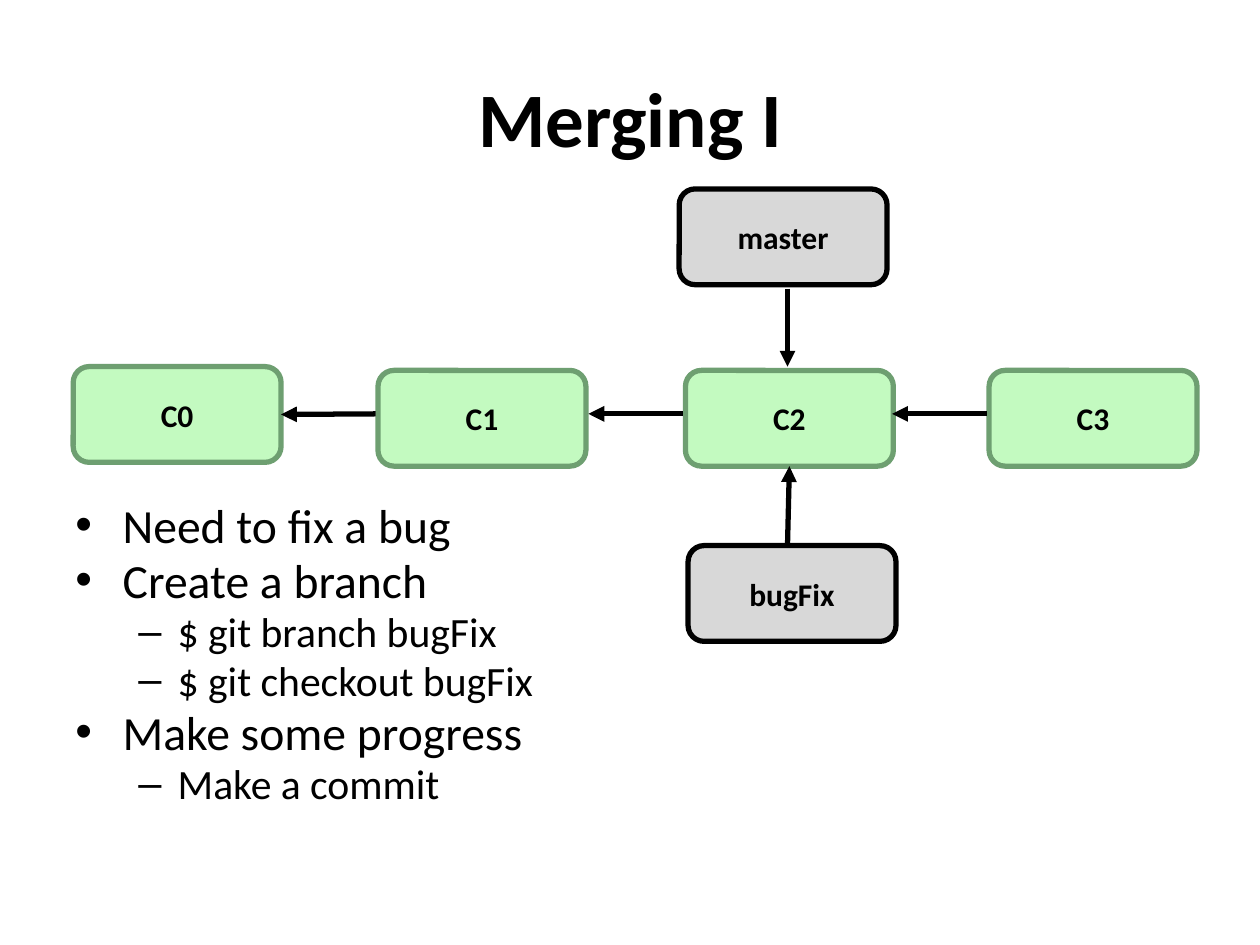
from pptx import Presentation
from pptx.dml.color import RGBColor
from pptx.enum.shapes import MSO_CONNECTOR as CONN, MSO_SHAPE as SHAPE
from pptx.enum.text import MSO_ANCHOR as ANCHOR, PP_ALIGN as ALIGN
from pptx.oxml.ns import qn
from pptx.util import Pt
from lxml.etree import SubElement

BLACK = RGBColor(0x00, 0x00, 0x00)
GREEN = RGBColor(0xC3, 0xFA, 0xC0)
DARK_GREEN = RGBColor(0x6E, 0x9F, 0x71)
GRAY = RGBColor(0xD8, 0xD8, 0xD8)

FONT = "Calibri"
NODE_W, NODE_H = 118.8, 54.7
BOTTOM, RIGHT = 2, 3

COMMIT = (GREEN, DARK_GREEN)
BRANCH = (GRAY, BLACK)
NODES = {
    "C0": (0, 101.5, COMMIT),
    "C1": (174.2, 103.7, COMMIT),
    "C2": (349.9, 103.7, COMMIT),
    "C3": (523.4, 103.7, COMMIT),
    "master": (346.3, 0, BRANCH),
    "bugFix": (351.4, 203.8, BRANCH),
}
ARROWS = [
    ((172.8, 128.5), (118.8, 128.5), ("C0", RIGHT)),
    ((348.5, 128.5), (294.5, 128.5), None),
    ((522, 128.5), (468, 128.5), None),
    ((408.2, 56.9), (408.2, 101.5), None),
    ((408.2, 203.8), (409.3, 158.4), ("C2", BOTTOM)),
]

LEVELS = [
    {"size": 27.2, "before": 5.4, "left": 27, "hang": 27, "mark": "•"},
    {"size": 23.8, "before": 4.8, "left": 58.5, "hang": 22.5, "mark": "–"},
]
BULLETS = [
    (0, "Need to fix a bug"),
    (0, "Create a branch"),
    (1, "$ git branch bugFix"),
    (1, "$ git checkout bugFix"),
    (0, "Make some progress"),
    (1, "Make a commit"),
]


def set_attrs(obj, values):
    for name, value in values.items():
        setattr(obj, name, value)


def write(p, text, size, bold=False):
    r = p.add_run()
    r.text = text
    set_attrs(r.font, {"name": FONT, "size": Pt(size), "bold": bold})
    r.font.color.rgb = BLACK


def add_title(s, box, text):
    sp = s.shapes.title
    set_attrs(sp, dict(zip(("left", "top", "width", "height"), map(Pt, box))))
    tf = sp.text_frame
    tf.vertical_anchor = ANCHOR.MIDDLE
    p = tf.paragraphs[0]
    p.alignment = ALIGN.CENTER
    write(p, text, 44, True)


def add_node(s, x, y, text, style):
    fill, line = style
    sp = s.shapes.add_shape(SHAPE.ROUNDED_RECTANGLE,
                            Pt(x), Pt(y), Pt(NODE_W), Pt(NODE_H))
    sp.shadow.inherit = False
    sp.fill.solid()
    sp.fill.fore_color.rgb = fill
    sp.line.color.rgb = line
    sp.line.width = Pt(3)
    tf = sp.text_frame
    tf.vertical_anchor = ANCHOR.MIDDLE
    p = tf.paragraphs[0]
    p.alignment = ALIGN.CENTER
    write(p, text, 18, True)
    return sp


def add_arrow(s, start, end):
    cx = s.shapes.add_connector(CONN.STRAIGHT, *map(Pt, start + end))
    cx.line.color.rgb = BLACK
    cx.line.width = Pt(3)
    SubElement(cx.line._get_or_add_ln(), qn("a:tailEnd"), type="triangle")
    SubElement(cx._element.spPr, qn("a:effectLst"))
    return cx


def add_graph(s, box):
    left, top = box[:2]
    nodes = {name: add_node(s, left + x, top + y, name, style)
             for name, (x, y, style) in NODES.items()}
    for (x1, y1), (x2, y2), joint in ARROWS:
        cx = add_arrow(s, (left + x1, top + y1), (left + x2, top + y2))
        if joint:
            name, side = joint
            cx.end_connect(nodes[name], side)


def add_bullets(s, box):
    tf = s.shapes.add_textbox(*map(Pt, box)).text_frame
    tf.word_wrap = True
    for i, (level, text) in enumerate(BULLETS):
        fmt = LEVELS[level]
        p = tf.add_paragraph() if i else tf.paragraphs[0]
        set_attrs(p, {"level": level, "line_spacing": 0.8,
                      "space_before": Pt(fmt["before"] if i else 0)})
        pPr = p._p.get_or_add_pPr()
        pPr.set("marL", str(Pt(fmt["left"])))
        pPr.set("indent", str(-Pt(fmt["hang"])))
        SubElement(pPr, qn("a:buFont"), typeface="Arial")
        SubElement(pPr, qn("a:buChar"), char=fmt["mark"])
        write(p, text, fmt["size"])


def main():
    prs = Presentation()
    set_attrs(prs, {"slide_width": Pt(720), "slide_height": Pt(540)})
    s = prs.slides.add_slide(prs.slide_layouts[5])
    add_title(s, (36, 21.6, 648, 90), "Merging I")
    add_bullets(s, (36, 286, 648, 196))
    add_graph(s, (41.8, 108, 642.2, 258.5))
    prs.save("out.pptx")


if __name__ == "__main__":
    main()
